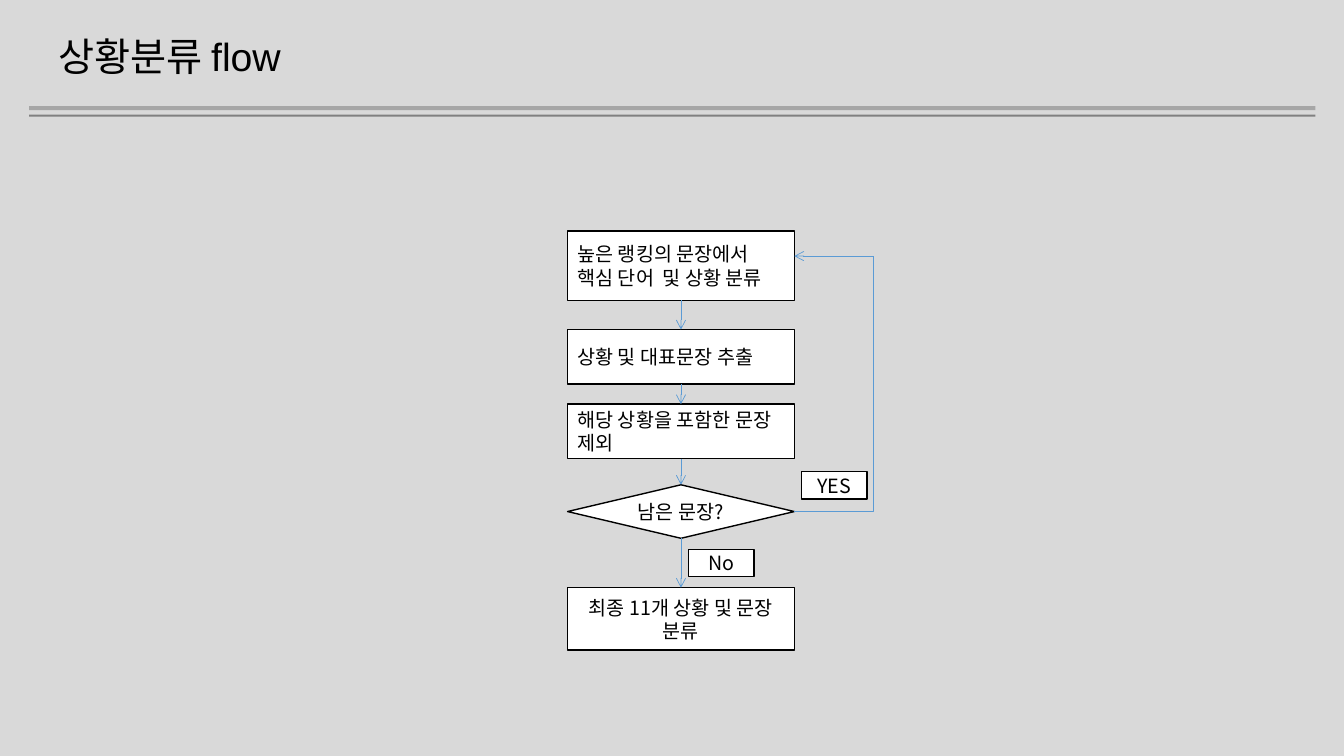
from lxml import etree
from pptx import Presentation
from pptx import util as u
from pptx.dml.color import RGBColor
from pptx.enum import shapes, text
from pptx.oxml.ns import qn

LEFT, WIDTH = 405.4, 162
RIGHT, CENTER = LEFT + WIDTH, LEFT + WIDTH / 2
LOOP_X, LOOP_Y = 624.2, 182.9


def color(hex_code):
    return RGBColor.from_string(hex_code)


class FlowSlide:
    """Holds the style and the current slide."""
    latin, korean = "Arial", "Noto Sans CJK KR"
    ink, paper, arrow_blue = "000000", "FFFFFF", "5B9BD5"

    def __init__(self, prs):
        self.s = prs.slides.add_slide(prs.slide_layouts[6])

    def background(self, fill):
        self.s.background.fill.solid()
        self.s.background.fill.fore_color.rgb = color(fill)

    def run(self, p, words, size, font):
        r = p.add_run()
        r.text = words
        r.font.size = u.Pt(size)
        r.font.name = font
        r.font.color.rgb = color(self.ink)
        ea = etree.SubElement(r._r.get_or_add_rPr(), qn("a:ea"))
        ea.set("typeface", self.korean)

    def title(self, x, y, w, h, words):
        sp = self.s.shapes.add_textbox(u.Pt(x), u.Pt(y), u.Pt(w), u.Pt(h))
        tf = sp.text_frame
        tf.word_wrap = True
        p = tf.paragraphs[0]
        p.line_spacing = 0.9
        p.space_before = u.Pt(10)
        self.run(p, words, 28, self.latin)

    def shape(self, kind, x, y, w, h, fill):
        sp = self.s.shapes.add_shape(kind, u.Pt(x), u.Pt(y), u.Pt(w), u.Pt(h))
        sp.shadow.inherit = False
        sp.fill.solid()
        sp.fill.fore_color.rgb = color(fill)
        return sp

    def bar(self, y, h, fill):
        sp = self.shape(shapes.MSO_SHAPE.RECTANGLE, 20.9, y, 918.7, h, fill)
        sp.line.fill.background()

    def box(self, x, y, w, h, lines, centered=True,
            kind=shapes.MSO_SHAPE.RECTANGLE):
        sp = self.shape(kind, x, y, w, h, self.paper)
        sp.line.color.rgb = color(self.ink)
        sp.line.width = u.Pt(1)
        tf = sp.text_frame
        tf.word_wrap = True
        tf.vertical_anchor = text.MSO_ANCHOR.MIDDLE
        for i, words in enumerate(lines):
            p = tf.add_paragraph() if i else tf.paragraphs[0]
            p.alignment = text.PP_ALIGN.CENTER if centered else text.PP_ALIGN.LEFT
            self.run(p, words, 14, self.korean)

    def connector(self, x1, y1, x2, y2, bent=False):
        kind = shapes.MSO_CONNECTOR.ELBOW if bent else shapes.MSO_CONNECTOR.STRAIGHT
        c = self.s.shapes.add_connector(kind, u.Pt(x1), u.Pt(y1), u.Pt(x2), u.Pt(y2))
        c.line.color.rgb = color(self.arrow_blue)
        c.line.width = u.Pt(0.5)
        sp_pr = c._element.spPr
        if bent:  # a single corner, without an arrowhead
            sp_pr.find(qn("a:prstGeom")).set("prst", "bentConnector2")
        else:
            tail = etree.SubElement(sp_pr.find(qn("a:ln")), qn("a:tailEnd"))
            tail.set("type", "arrow")
        etree.SubElement(sp_pr, qn("a:effectLst"))


def main():
    prs = Presentation()
    prs.slide_width, prs.slide_height = u.Pt(960), u.Pt(540)
    flow = FlowSlide(prs)
    flow.background("D9D9D9")

    # Heading and double rule
    flow.bar(75.8, 2.9, "A6A6A6")
    flow.bar(81.8, 1.5, "808080")
    flow.title(34.6, 23, 882.7, 43.9, "상황분류 flow")

    # Steps from top to bottom: top, height, lines, centered, shape
    rect, diamond = shapes.MSO_SHAPE.RECTANGLE, shapes.MSO_SHAPE.DIAMOND
    steps = [
        (164.9, 49.7, ["높은 랭킹의 문장에서", "핵심 단어  및 상황 분류"], False, rect),
        (235.4, 38.9, ["상황 및 대표문장 추출"], False, rect),
        (288.7, 38.9, ["해당 상황을 포함한 문장 제외"], False, rect),
        (346.3, 38.2, ["남은 문장?"], True, diamond),
        (419.8, 44.6, ["최종 11개 상황 및 문장 분류"], True, rect),
    ]
    for top, height, lines, centered, kind in steps:
        flow.box(LEFT, top, WIDTH, height, lines, centered, kind)

    # Arrows between neighbouring steps
    for upper, lower in zip(steps, steps[1:]):
        flow.connector(CENTER, upper[0] + upper[1], CENTER, lower[0])

    # Loop from the decision back to the first step
    decision_top, decision_height = steps[3][:2]
    flow.connector(RIGHT, decision_top + decision_height / 2, LOOP_X, LOOP_Y, bent=True)
    flow.connector(LOOP_X, LOOP_Y, RIGHT, LOOP_Y)

    # Branch labels
    for x, y, label in [(572.4, 337, "YES"), (491.8, 392.4, "No")]:
        flow.box(x, y, 46.8, 19.4, [label])

    prs.save("out.pptx")


if __name__ == "__main__":
    main()
